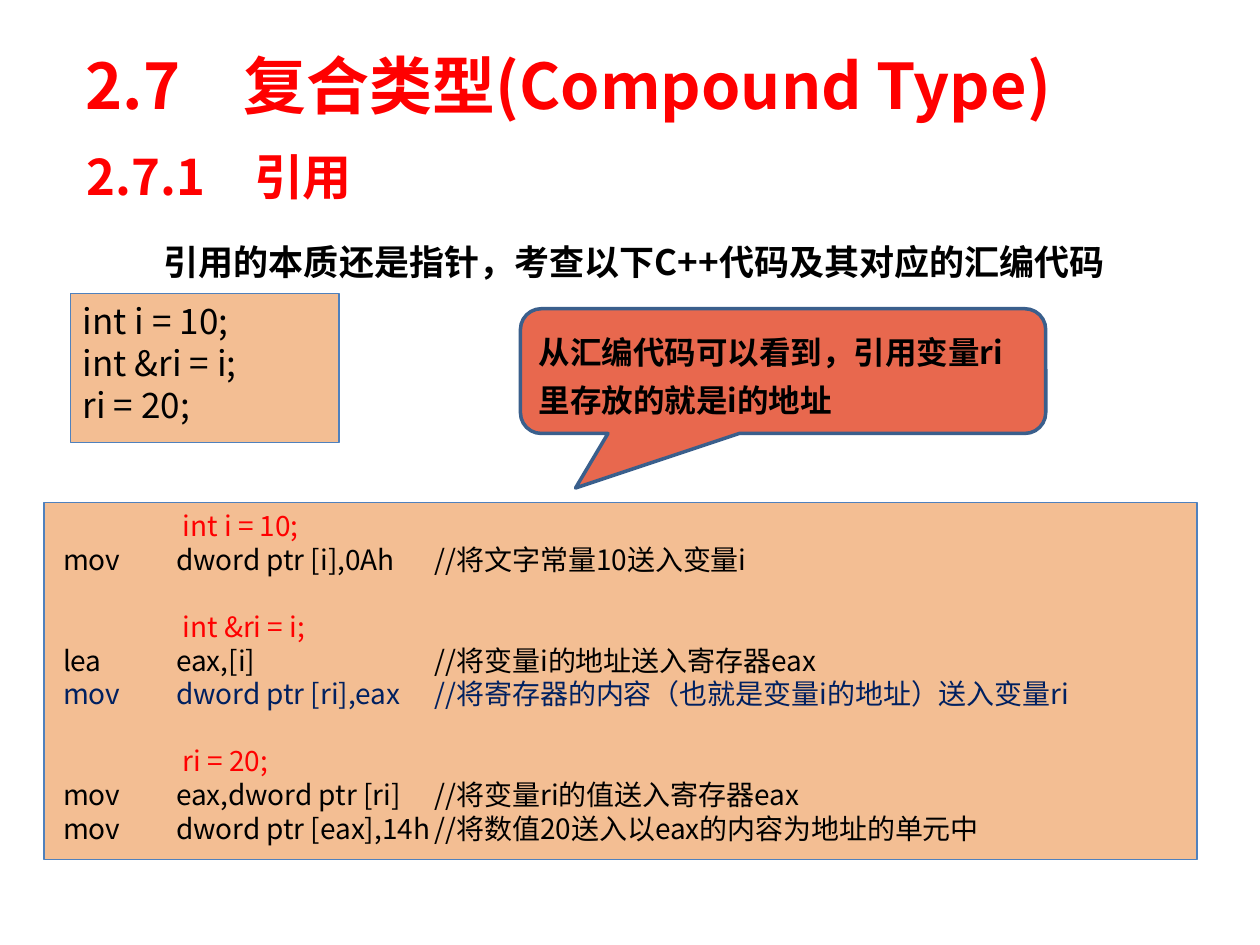
from dataclasses import dataclass

from lxml import etree
from pptx import Presentation
from pptx.dml.color import RGBColor
from pptx.enum import shapes, text
from pptx.oxml import ns
from pptx.util import Pt


@dataclass(frozen=True)
class Theme:
    heading_font: str = "Noto Sans CJK SC"
    body_font: str = "Noto Sans CJK JP"
    red: str = "FF0000"
    black: str = "000000"
    navy: str = "002060"
    code_fill: str = "E46C0A"
    code_alpha: int = 44
    code_line: str = "4F81BD"
    callout_fill: str = "E8684E"
    callout_line: str = "3A5F8C"
    title_size: int = 36
    section_size: int = 28
    body_size: int = 20
    callout_size: int = 18
    assembly_size: int = 16


THEME = Theme()
LINE_FACTOR = 1.2

SOURCE_CODE = ["int i = 10;", "int &ri = i;", "ri = 20;"]
ASSEMBLY = [
    ("int i = 10;", [
        ("mov", "dword ptr [i],0Ah", "//将文字常量10送入变量i", THEME.black),
    ]),
    ("int &ri = i;", [
        ("lea", "eax,[i]", "//将变量i的地址送入寄存器eax", THEME.black),
        ("mov", "dword ptr [ri],eax",
         "//将寄存器的内容（也就是变量i的地址）送入变量ri", THEME.navy),
    ]),
    ("ri = 20;", [
        ("mov", "eax,dword ptr [ri]", "//将变量ri的值送入寄存器eax", THEME.black),
        ("mov", "dword ptr [eax],14h",
         "//将数值20送入以eax的内容为地址的单元中", THEME.black),
    ]),
]


def apply_format(target, values):
    for name, value in values.items():
        setattr(target, name, value)


def place(shape, box):
    apply_format(shape, dict(zip(("left", "top", "width", "height"), map(Pt, box))))


def set_frame(shape, anchor, margin=7.2):
    apply_format(shape.text_frame, {
        "word_wrap": True,
        "auto_size": text.MSO_AUTO_SIZE.NONE,
        "vertical_anchor": anchor,
        "margin_left": Pt(margin), "margin_right": Pt(7.2),
        "margin_top": Pt(3.6), "margin_bottom": Pt(3.6),
    })
    return shape.text_frame


def add_run(paragraph, words, size, color, font, bold=False):
    run = paragraph.add_run()
    run.text = words
    apply_format(run.font, {"name": font, "size": Pt(size), "bold": bold})
    run.font.color.rgb = RGBColor.from_string(color)
    east_asian = etree.SubElement(run.font._element, ns.qn("a:ea"))
    east_asian.set("typeface", font)


def next_paragraph(frame, line_spacing, space_before=0):
    first = frame.paragraphs[0]
    paragraph = frame.add_paragraph() if first.runs else first
    apply_format(paragraph, {
        "alignment": text.PP_ALIGN.LEFT,
        "line_spacing": line_spacing,
        "space_before": Pt(space_before),
        "space_after": Pt(0),
    })
    return paragraph


def set_tabs(paragraph, stops):
    tabs = etree.SubElement(paragraph._p.get_or_add_pPr(), ns.qn("a:tabLst"))
    for stop in stops:
        tab = etree.SubElement(tabs, ns.qn("a:tab"))
        tab.set("pos", str(Pt(stop)))
        tab.set("algn", "l")


def add_panel(slide, kind, box, fill, line, weight, alpha=None):
    shape = slide.shapes.add_shape(kind, *map(Pt, box))
    shape.shadow.inherit = False
    shape.fill.solid()
    shape.fill.fore_color.rgb = RGBColor.from_string(fill)
    shape.line.color.rgb = RGBColor.from_string(line)
    shape.line.width = Pt(weight)
    if alpha is not None:
        color = shape._element.spPr.find(f"{ns.qn('a:solidFill')}/{ns.qn('a:srgbClr')}")
        etree.SubElement(color, ns.qn("a:alpha")).set("val", str(alpha * 1000))
    return shape


def add_code_panel(slide, box):
    shape = add_panel(slide, shapes.MSO_SHAPE.RECTANGLE, box, THEME.code_fill,
                      THEME.code_line, 0.75, THEME.code_alpha)
    return shape


def write_heading(shape, box, words, size):
    place(shape, box)
    frame = set_frame(shape, text.MSO_ANCHOR.MIDDLE)
    add_run(next_paragraph(frame, 1.0), words, size, THEME.red, THEME.heading_font, True)


def write_intro(shape, box, words):
    place(shape, box)
    frame = set_frame(shape, text.MSO_ANCHOR.TOP)
    paragraph = next_paragraph(frame, Pt(41.5))
    properties = paragraph._p.get_or_add_pPr()
    properties.set("marL", str(Pt(72)))
    properties.set("indent", "0")
    etree.SubElement(properties, ns.qn("a:buNone"))
    add_run(paragraph, words, THEME.body_size, THEME.black, THEME.body_font, True)


def add_source_code(slide, box):
    frame = set_frame(add_code_panel(slide, box), text.MSO_ANCHOR.TOP)
    for line in SOURCE_CODE:
        paragraph = next_paragraph(frame, Pt(THEME.body_size * LINE_FACTOR))
        add_run(paragraph, line, THEME.body_size, THEME.black, THEME.body_font)


def add_assembly(slide, box):
    frame = set_frame(add_code_panel(slide, box), text.MSO_ANCHOR.TOP, 10.8)
    size = THEME.assembly_size
    pitch = size * LINE_FACTOR
    for index, (statement, instructions) in enumerate(ASSEMBLY):
        paragraph = next_paragraph(frame, Pt(pitch), pitch if index else 0)
        set_tabs(paragraph, [68.4])
        add_run(paragraph, "\t" + statement, size, THEME.red, THEME.body_font)
        for *columns, color in instructions:
            paragraph = next_paragraph(frame, Pt(pitch))
            set_tabs(paragraph, [64.6, 212.4])
            add_run(paragraph, "\t".join(columns), size, color, THEME.body_font)


def add_callout(slide, box, words):
    shape = add_panel(slide, shapes.MSO_SHAPE.ROUNDED_RECTANGULAR_CALLOUT, box,
                      THEME.callout_fill, THEME.callout_line, 2)
    for index, value in enumerate((-0.395, 0.937, 0.167)):
        shape.adjustments[index] = value
    frame = set_frame(shape, text.MSO_ANCHOR.MIDDLE)
    paragraph = next_paragraph(frame, Pt(THEME.callout_size * 1.5))
    add_run(paragraph, words, THEME.callout_size, THEME.black, THEME.body_font, True)


def main():
    presentation = Presentation()
    presentation.slide_width, presentation.slide_height = Pt(720), Pt(540)
    slide = presentation.slides.add_slide(presentation.slide_layouts[1])
    title, body = slide.placeholders
    section_box = (42.5, 67.7, 612, 66.2)

    write_heading(title, (41.8, 15.1, 612, 66.2),
                  "2.7　复合类型(Compound Type)", THEME.title_size)
    write_heading(slide.shapes.add_textbox(*map(Pt, section_box)), section_box,
                  "2.7.1　引用", THEME.section_size)
    write_intro(body, (14.4, 116.6, 693.4, 423.4),
                "引用的本质还是指针，考查以下C++代码及其对应的汇编代码")
    add_source_code(slide, (40.3, 167.8, 153.4, 85))
    add_assembly(slide, (25.2, 287.3, 658.8, 203.8))
    add_callout(slide, (297.4, 176.4, 300.2, 71.3),
                "从汇编代码可以看到，引用变量ri里存放的就是i的地址")
    presentation.save("out.pptx")


if __name__ == "__main__":
    main()
